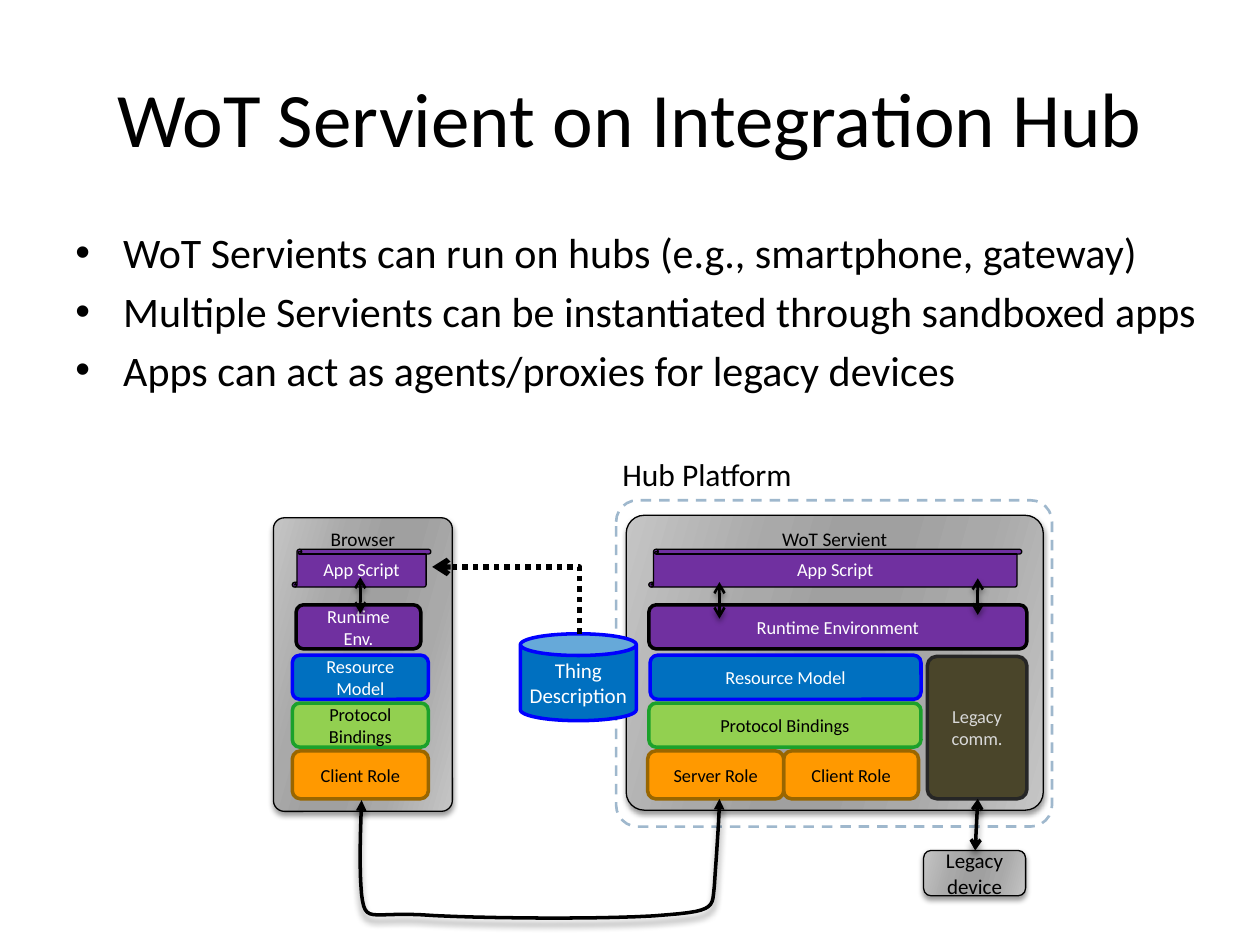
"""Build the slide on running a WoT Servient on an integration hub."""
from lxml import etree
from pptx import Presentation, util as u
from pptx.dml.color import RGBColor
from pptx.enum import dml, shapes, text as t
from pptx.oxml.ns import qn

deck = Presentation()
deck.slide_width, deck.slide_height = u.Inches(10), u.Inches(7.5)
col, row = deck.slide_width / 100, deck.slide_height / 75
slide = deck.slides.add_slide(deck.slide_layouts[5])
kinds = shapes.MSO_SHAPE
ROUND, SCROLL, CAN = kinds.ROUNDED_RECTANGLE, kinds.VERTICAL_SCROLL, kinds.CAN
STEEL = [(0, "C5C5C5"), (30, "A9A9A9"), (45, "A0A0A0"), (55, "A0A0A0"), (73, "A9A9A9"), (100, "C5C5C5")]


def write(item, words, size, color="000000", align=t.PP_ALIGN.CENTER, anchor=t.MSO_ANCHOR.MIDDLE,
          wrap=True, bullet=False, gap=0):
    """Fill the text frame of an item, one paragraph for each line."""
    frame = item.text_frame
    frame.word_wrap, frame.vertical_anchor = wrap, anchor
    frame.auto_size = t.MSO_AUTO_SIZE.NONE
    for k, line in enumerate(words.split("\n")):
        para = frame.add_paragraph() if k else frame.paragraphs[0]
        if bullet:
            props = para._p.get_or_add_pPr()
            props.set("marL", str(u.Inches(0.38)))
            props.set("indent", str(u.Inches(-0.38)))
            etree.SubElement(props, qn("a:buFont"), typeface="Arial")
            etree.SubElement(props, qn("a:buChar"), char="•")
        para.alignment = align
        para.space_before = u.Pt(gap if k else 0)
        run = para.add_run()
        run.text = line
        run.font.name, run.font.size = "Calibri", u.Pt(size)
        run.font.color.rgb = RGBColor.from_string(color)


def style(item, line, width, fill=None, dash=None, head=None, tail=None, shade=None):
    """Set fill, outline, arrowheads and shadow of an item."""
    props = item._element.spPr
    if fill == STEEL:
        item.fill.gradient()
        item.fill.gradient_angle = 344
        stops = props.find(qn("a:gradFill")).find(qn("a:gsLst"))
        stops[:] = []
        for share, tone in fill:
            stop = etree.SubElement(stops, qn("a:gs"), pos=str(share * 1000))
            etree.SubElement(stop, qn("a:srgbClr"), val=tone)
    elif fill:
        item.fill.solid()
        item.fill.fore_color.rgb = RGBColor.from_string(fill)
    elif hasattr(item, "fill"):
        item.fill.background()
    item.line.color.rgb = RGBColor.from_string(line)
    item.line.width = u.Pt(width)
    if dash:
        item.line.dash_style = dash
    for tag, kind in (("a:headEnd", head), ("a:tailEnd", tail)):
        if kind:
            etree.SubElement(props.find(qn("a:ln")), qn(tag), type=kind)
    list_ = etree.SubElement(props, qn("a:effectLst"))
    if shade:
        blur, dist = shade
        cast = etree.SubElement(list_, qn("a:outerShdw"), blurRad=str(u.Pt(blur)),
                                dist=str(u.Pt(dist)), dir="5400000", rotWithShape="0")
        tone = etree.SubElement(cast, qn("a:srgbClr"), val="000000")
        etree.SubElement(tone, qn("a:alpha"), val="40000")


title = slide.shapes.title
title.left, title.top, title.width, title.height = map(int, (5 * col, 3 * row, 90 * col, 12.5 * row))
write(title, "WoT Servient on Integration Hub", 44)

LEFT, TOP = t.PP_ALIGN.LEFT, t.MSO_ANCHOR.TOP
points = """WoT Servients can run on hubs (e.g., smartphone, gateway)
Multiple Servients can be instantiated through sandboxed apps
Apps can act as agents/proxies for legacy devices"""
for x, y, w, h, words, size, mark in [(5, 17.5, 93, 49.5, points, 24, True),
                                      (48.4, 35.6, 18.9, 4, "Hub Platform", 18, False)]:
    note = slide.shapes.add_textbox(int(x * col), int(y * row), int(w * col), int(h * row))
    write(note, words, size, align=LEFT, anchor=TOP, bullet=mark, gap=4.8)

frame = slide.shapes.add_shape(ROUND, *map(int, (48.9 * col, 39.7 * row, 34.6 * col, 25.9 * row)))
frame.adjustments[0] = 0.066
style(frame, "9FB8CD", 1.5, dash=dml.MSO_LINE.DASH)

for x, y, w, h, words, size, anchor, adj in [
        (49.7, 40.9, 33.1, 23.4, "WoT Servient", 11, TOP, 0.061),
        (21.7, 41.1, 14.2, 23.3, "Browser", 11, TOP, 0.061),
        (73.3, 67.5, 8.1, 3.6, "Legacy\ndevice", 12, t.MSO_ANCHOR.MIDDLE, 0.167)]:
    panel = slide.shapes.add_shape(ROUND, *map(int, (x * col, y * row, w * col, h * row)))
    panel.adjustments[0] = adj
    style(panel, "000000", 0.75, STEEL, shade=(3, 2))
    write(panel, words, size, anchor=anchor, wrap=False)

looks = {
    "app": (SCROLL, 43.6, 3, "7030A0", "000000", 0.75, "FFFFFF"),
    "run": (ROUND, 48, 3.5, "7030A0", "000000", 2, "FFFFFF"),
    "model": (ROUND, 52, 3.5, "0070C0", "0000FF", 2, "FFFFFF"),
    "bind": (ROUND, 55.8, 3.5, "92D050", "1BA12B", 2, "000000"),
    "role": (ROUND, 59.6, 3.8, "FF9900", "996600", 2, "000000"),
    "old": (ROUND, 52.1, 11.3, "4A452A", "262626", 2, "D9D9D9"),
    "thing": (CAN, 50.3, 6.9, "0070C0", "0000FF", 2, "FFFFFF"),
}
for look, x, w, words in [
        ("role", 62.2, 10.7, "Client Role"), ("role", 51.4, 10.8, "Server Role"),
        ("bind", 51.5, 21.6, "Protocol Bindings"), ("model", 51.6, 21.5, "Resource Model"),
        ("app", 51.5, 29.6, "App Script"), ("old", 73.6, 7.9, "Legacy comm."),
        ("run", 51.5, 30, "Runtime Environment"),
        ("role", 23.2, 10.8, "Client Role"), ("bind", 23.2, 10.8, "Protocol\nBindings"),
        ("model", 23.2, 10.8, "Resource Model"), ("app", 23.2, 11, "App Script"),
        ("run", 23.5, 9.9, "Runtime Env."), ("thing", 41.3, 9.2, "Thing\nDescription")]:
    kind, y, h, fill, line, width, ink = looks[look]
    box = slide.shapes.add_shape(kind, *map(int, (x * col, y * row, w * col, h * row)))
    if look == "old":
        box.adjustments[0] = 0.095
    style(box, line, width, fill)
    write(box, words, 12 if look == "thing" else 10.5, ink, wrap=look not in ("app", "thing"))

join = shapes.MSO_CONNECTOR
for x, y, to, end, width, shade in [(28.6, 45.8, 28.6, 48.7, 1.5, (3, 2)),
                                    (77.6, 45.9, 77.6, 48.8, 1.5, (3, 2)),
                                    (57.1, 46.2, 57.1, 49.1, 1.5, (3, 2)),
                                    (77.6, 63.4, 77.4, 67.5, 2, (4, 3.4))]:
    arrow = slide.shapes.add_connector(join.STRAIGHT, *map(int, (x * col, y * row, to * col, end * row)))
    style(arrow, "000000", width, head="arrow", tail="arrow", shade=shade)

curve = [(57.1, 63.4), (57.1, 64.8), (56.8, 68.7), (56.7, 70.3), (56.5, 71.9), (56.9, 72.3),
         (53, 72.6), (49.1, 73), (37.4, 72.9), (33.4, 72.6), (29.3, 72.4), (29, 73.3),
         (28.7, 71), (28.5, 68.7), (28.6, 66.4), (28.7, 63.5)]
steps, trail = 12, []
for k in range(0, len(curve) - 1, 3):
    for s in range(1, steps + 1):
        f = s / steps
        share = ((1 - f) ** 3, 3 * f * (1 - f) ** 2, 3 * f * f * (1 - f), f ** 3)
        trail.append(tuple(int(unit * sum(m * p[n] for m, p in zip(share, curve[k:k + 4])))
                           for n, unit in enumerate((col, row))))
pen = slide.shapes.build_freeform(int(curve[0][0] * col), int(curve[0][1] * row))
pen.add_line_segments(trail, close=False)
style(pen.convert_to_shape(), "000000", 2, head="triangle", tail="triangle", shade=(4, 3.4))

bend = slide.shapes.add_connector(join.ELBOW, *map(int, (37.5 * col, 41.8 * row, 42.8 * col, 53.5 * row)))
props = bend._element.spPr
props.find(qn("a:prstGeom")).set("prst", "bentConnector2")
props.find(qn("a:xfrm")).set("rot", str(270 * 60000))
props.find(qn("a:xfrm")).set("flipV", "1")
style(bend, "000000", 3, dash=dml.MSO_LINE.ROUND_DOT, tail="arrow")

deck.save("out.pptx")
